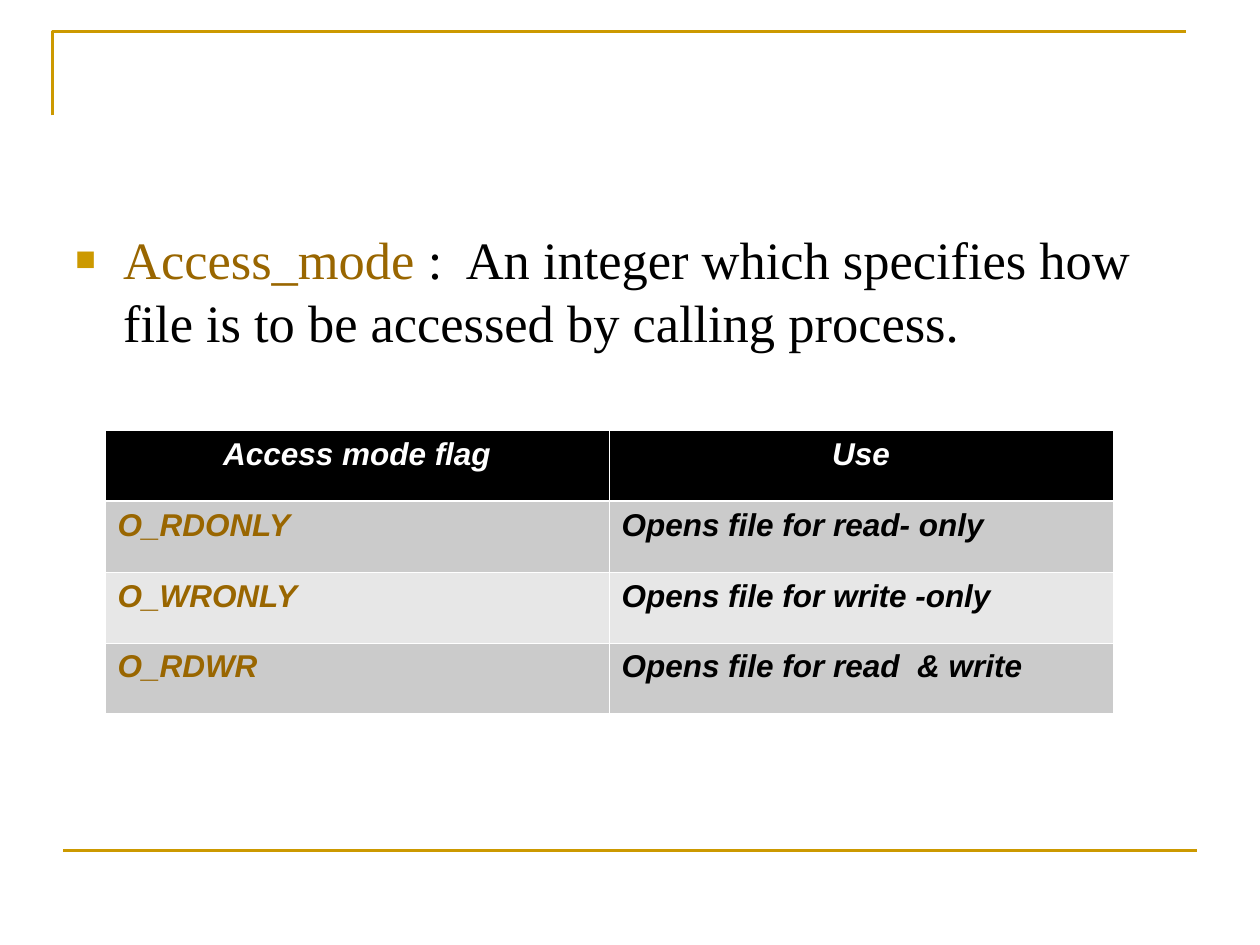
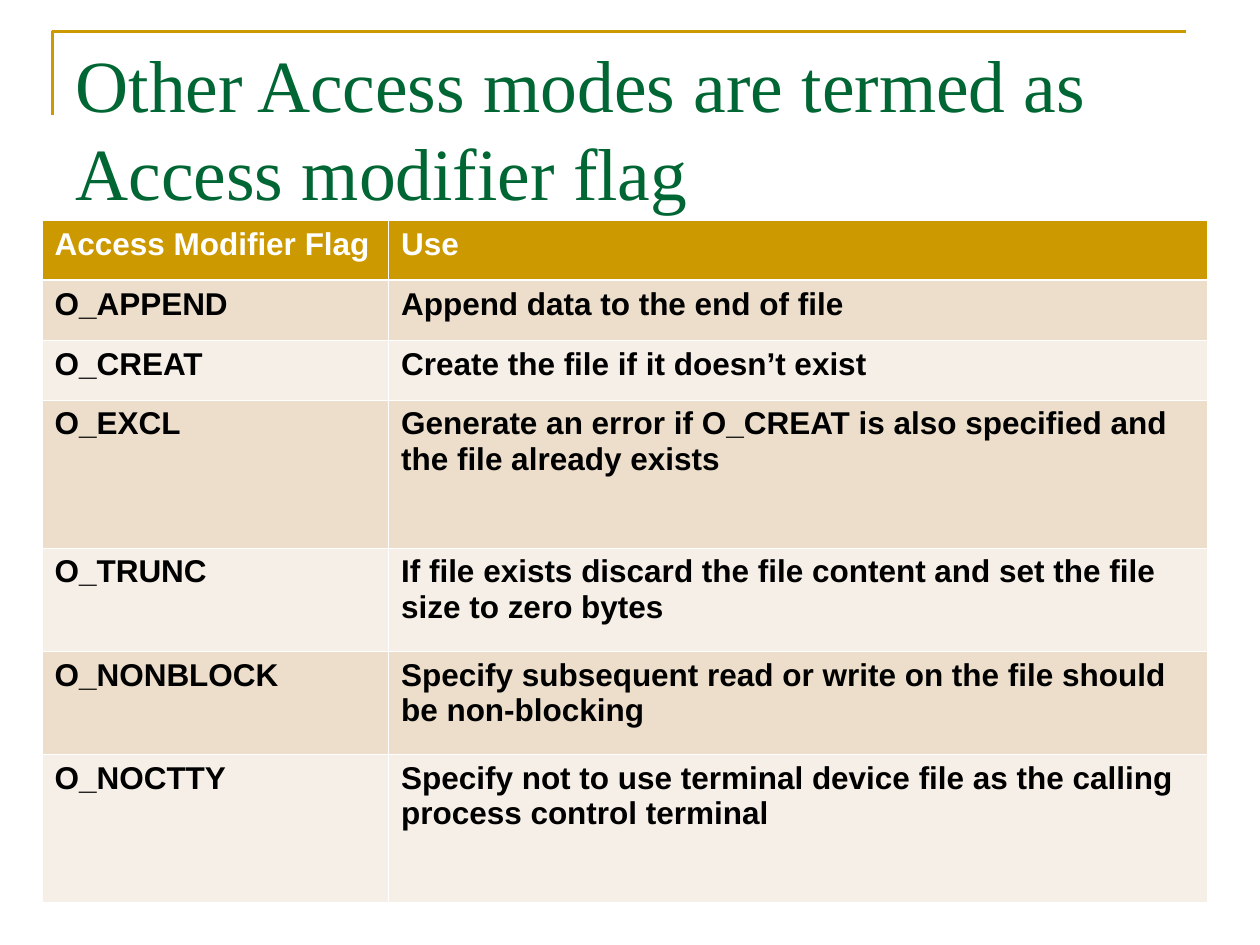
from dataclasses import dataclass

from lxml import etree
from pptx import Presentation
from pptx import util as u
from pptx.dml.color import RGBColor
from pptx.enum import shapes, text
from pptx.oxml import ns

GRID = u.Inches(1) / 12


@dataclass(frozen=True)
class Theme:
    """Colours, fonts and type sizes that the slides share."""

    gold: str = "CC9900"
    brown: str = "996600"
    green: str = "006633"
    black: str = "000000"
    white: str = "FFFFFF"
    grey_bands: tuple = ("CBCBCB", "E7E7E7")
    gold_bands: tuple = ("ECDECB", "F6EFE7")
    serif: str = "Times New Roman"
    sans: str = "Arial"
    title_size: int = 42
    body_size: int = 30
    table_size: int = 18
    rule_width: float = 1.5
    cell_line: float = 0.45
    header_line: float = 1.47


THEME = Theme()

ACCESS_MODES = [
    ("Access mode flag", "Use"),
    ("O_RDONLY", "Opens file for read- only"),
    ("O_WRONLY", "Opens file for write -only"),
    ("O_RDWR", "Opens file for read  & write"),
]
MODIFIER_FLAGS = [
    ("Access Modifier Flag", "Use"),
    ("O_APPEND", "Append data to the end of file"),
    ("O_CREAT", "Create the file if it doesn’t exist"),
    ("O_EXCL", "Generate an error if O_CREAT is also specified and the file already exists"),
    ("O_TRUNC", "If file exists discard the file content and set the file size to zero bytes"),
    ("O_NONBLOCK", "Specify subsequent read or write on the file should be non-blocking"),
    ("O_NOCTTY", "Specify not to use terminal device file as the calling process control terminal"),
]


def units(*steps):
    """Turn grid steps into slide lengths."""
    return [u.Emu(round(step * GRID)) for step in steps]


def colour(value):
    """Make a colour from its hexadecimal name."""
    return RGBColor.from_string(value)


def style_font(font, name, size, value):
    """Set the face, size and colour of a font."""
    font.name, font.size = name, u.Pt(size)
    font.color.rgb = colour(value)


def style_rule(shape):
    """Give a frame line its colour and width."""
    shape.line.color.rgb = colour(THEME.gold)
    shape.line.width = u.Pt(THEME.rule_width)


def add_frame(slide, left, top, width, height):
    """Draw the corner bracket and the bottom rule within a box."""
    x, y, right, drop = units(left, top, left + width - 1, top + 8)
    builder = slide.shapes.build_freeform(x, drop)
    builder.add_line_segments([(x, y), (right, y)], close=False)
    bracket = builder.convert_to_shape()
    bracket.fill.background()
    bracket.shadow.inherit = False
    style_rule(bracket)
    start, end, bottom = units(left + 1, left + width, top + height)
    rule = slide.shapes.add_connector(
        shapes.MSO_CONNECTOR.STRAIGHT, start, bottom, end, bottom)
    style_rule(rule)
    etree.SubElement(rule._element.spPr, ns.qn("a:effectLst"))


def add_bullet(paragraph):
    """Give a paragraph a hanging square bullet."""
    properties = paragraph._p.get_or_add_pPr()
    properties.set("marL", str(u.Inches(0.38)))
    properties.set("indent", str(-u.Inches(0.38)))
    bullet_colour = etree.SubElement(properties, ns.qn("a:buClr"))
    etree.SubElement(bullet_colour, ns.qn("a:srgbClr"), val=THEME.gold)
    etree.SubElement(properties, ns.qn("a:buSzPct"), val="65000")
    etree.SubElement(properties, ns.qn("a:buFont"), typeface=THEME.sans)
    etree.SubElement(properties, ns.qn("a:buChar"), char="■")


def add_definition(slide, box, term, meaning):
    """Place a bulleted term and its meaning in a box."""
    frame = slide.shapes.add_textbox(*units(*box)).text_frame
    frame.word_wrap = True
    paragraph = frame.paragraphs[0]
    add_bullet(paragraph)
    style_font(paragraph.font, THEME.serif, THEME.body_size, THEME.black)
    term_run = paragraph.add_run()
    term_run.text = term
    term_run.font.color.rgb = colour(THEME.brown)
    paragraph.add_run().text = meaning


def set_title(slide, box, wording):
    """Move, fill and format the title placeholder."""
    title = slide.shapes.title
    title.left, title.top, title.width, title.height = units(*box)
    frame = title.text_frame
    frame.text = wording
    frame.auto_size = text.MSO_AUTO_SIZE.NONE
    frame.vertical_anchor = text.MSO_ANCHOR.TOP
    paragraph = frame.paragraphs[0]
    paragraph.alignment = text.PP_ALIGN.LEFT
    style_font(paragraph.font, THEME.serif, THEME.title_size, THEME.green)


def set_borders(cell, row):
    """Draw white cell borders, heavier under the header row."""
    properties = cell._tc.get_or_add_tcPr()
    heavy_side = {0: "lnB", 1: "lnT"}.get(row)
    for position, side in enumerate(("lnL", "lnR", "lnT", "lnB")):
        width = THEME.header_line if side == heavy_side else THEME.cell_line
        line = etree.Element(ns.qn(f"a:{side}"), w=str(u.Pt(width)))
        fill = etree.SubElement(line, ns.qn("a:solidFill"))
        etree.SubElement(fill, ns.qn("a:srgbClr"), val=THEME.white)
        properties.insert(position, line)


def add_flag_table(slide, origin, columns, rows, records, header_fill, bands,
                   flag_colour=THEME.black, italic=False, centre_header=False):
    """Place a banded table of flags and their uses at a grid origin."""
    table = slide.shapes.add_table(
        len(rows), len(columns), *units(*origin, sum(columns), sum(rows))).table
    for column, width in zip(table.columns, units(*columns)):
        column.width = width
    for row, height in zip(table.rows, units(*rows)):
        row.height = height
    for row, record in enumerate(records):
        for column, wording in enumerate(record):
            cell = table.cell(row, column)
            cell.text = wording
            cell.fill.solid()
            cell.fill.fore_color.rgb = colour(bands[(row - 1) % 2] if row else header_fill)
            set_borders(cell, row)
            paragraph = cell.text_frame.paragraphs[0]
            if centre_header and row == 0:
                paragraph.alignment = text.PP_ALIGN.CENTER
            body_colour = THEME.black if column else flag_colour
            style_font(paragraph.font, THEME.sans, THEME.table_size,
                       body_colour if row else THEME.white)
            paragraph.font.bold, paragraph.font.italic = True, italic


def add_slide(presentation, layout):
    """Add a slide with the shared frame."""
    slide = presentation.slides.add_slide(presentation.slide_layouts[layout])
    add_frame(slide, 5, 3, 109, 78)
    return slide


def build_access_mode(presentation):
    """Build the slide that defines the access mode."""
    slide = add_slide(presentation, 6)
    add_definition(slide, (6, 21, 108, 59.4), "Access_mode",
                   " :  An integer which specifies how file is to be accessed by calling process.")
    add_flag_table(slide, (10, 41), [48] * 2, [6.75] * 4, ACCESS_MODES,
                   THEME.black, THEME.grey_bands, THEME.brown,
                   italic=True, centre_header=True)


def build_modifier_flags(presentation):
    """Build the slide that lists the access modifier flags."""
    slide = add_slide(presentation, 5)
    set_title(slide, (6, 3.1, 108, 15),
              "Other Access modes are termed as Access modifier flag")
    short, medium, tall = 5.7, 9.85, 14.1
    add_flag_table(slide, (4, 21), [33, 78],
                   [short] * 3 + [tall, medium, medium, tall],
                   MODIFIER_FLAGS, THEME.gold, THEME.gold_bands)


def main():
    """Build and save the presentation."""
    presentation = Presentation()
    presentation.slide_width, presentation.slide_height = units(120, 90)
    build_access_mode(presentation)
    build_modifier_flags(presentation)
    presentation.save("out.pptx")


if __name__ == "__main__":
    main()
